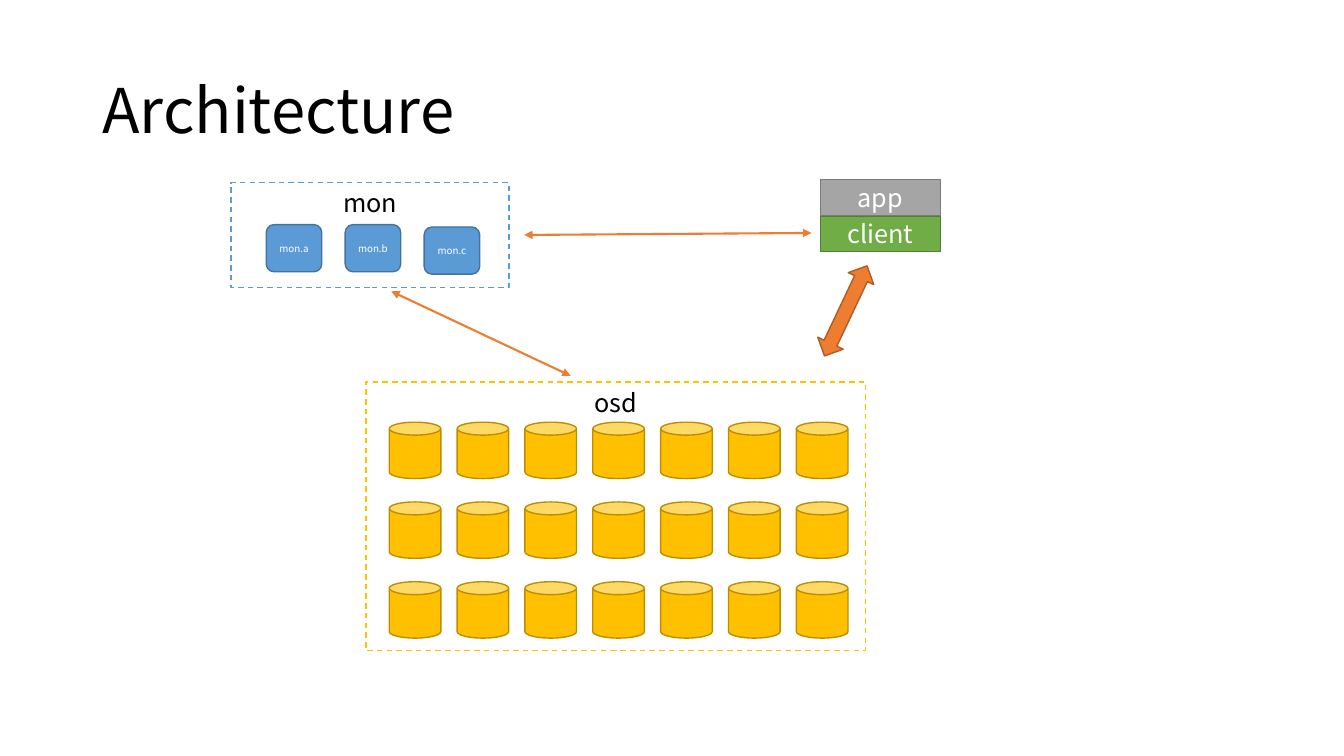
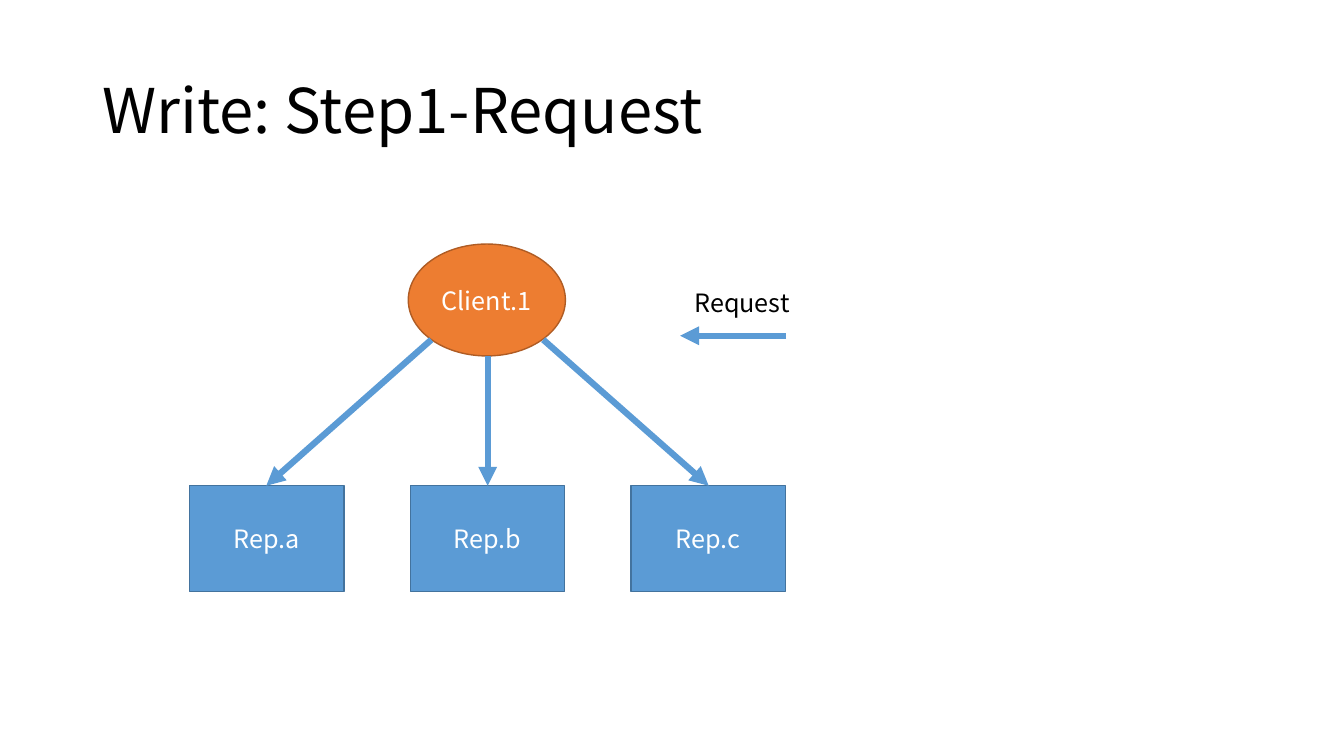
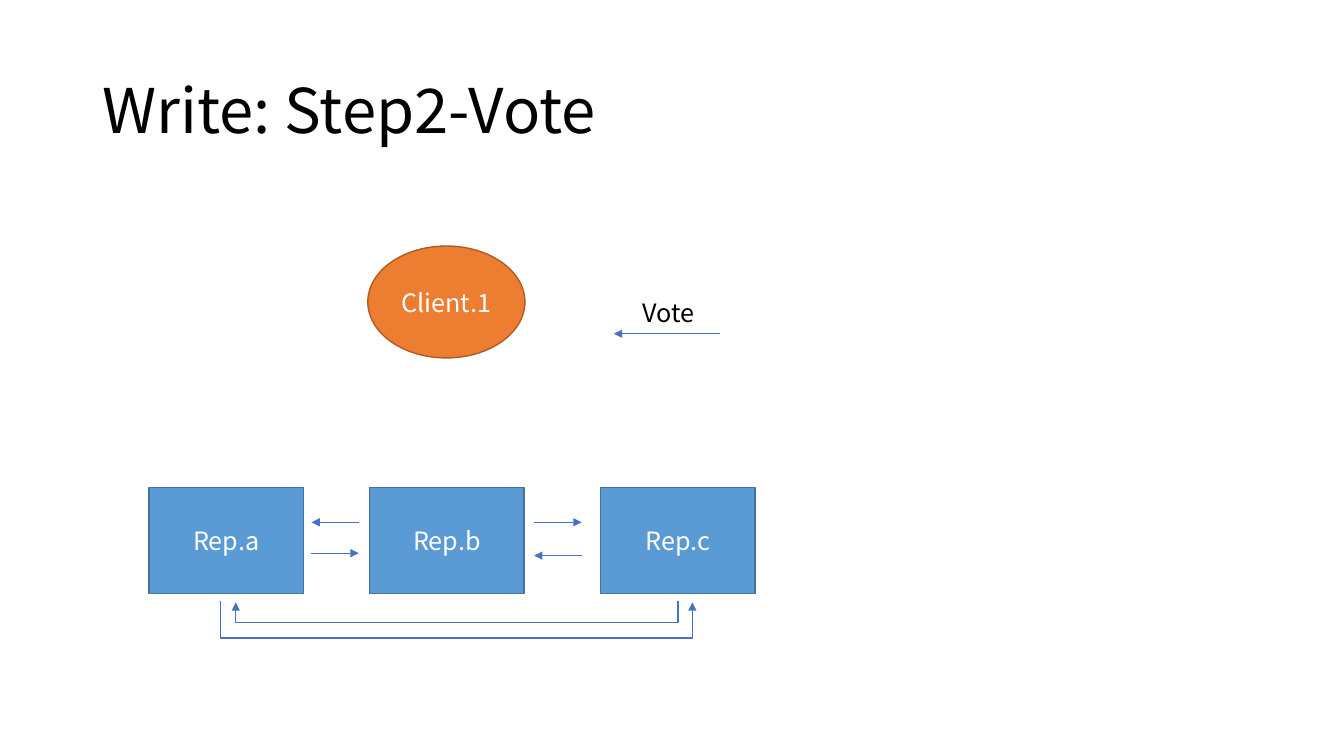
from dataclasses import dataclass

from pptx import Presentation
from pptx.dml.color import RGBColor
from pptx.enum.dml import MSO_LINE
from pptx.enum.shapes import MSO_CONNECTOR as Link, MSO_SHAPE as Preset
from pptx.enum.text import MSO_ANCHOR as Anchor, MSO_AUTO_SIZE as AutoSize, PP_ALIGN as Align
from pptx.oxml.ns import qn
from pptx.oxml.xmlchemy import OxmlElement
from pptx.util import Cm, Pt


@dataclass(frozen=True)
class Theme:
    font: str = "Noto Sans CJK SC"
    title_size: int = 44
    body_size: int = 18
    small_size: int = 7
    black: str = "000000"
    white: str = "FFFFFF"
    blue: str = "5B9BD5"
    blue_edge: str = "43739E"
    vote_blue: str = "4472C4"
    orange: str = "ED7D31"
    orange_edge: str = "AF5C24"
    gold: str = "FFC000"
    gold_edge: str = "BD8E00"
    green: str = "70AD47"
    green_edge: str = "538035"
    gray: str = "A5A5A5"
    gray_edge: str = "7A7A7A"


theme = Theme()


def add_shape(shapes, preset, box, fill, edge, text="", size=theme.body_size, color=theme.white):
    """Add a flat outlined shape; box is left, top, width, height in centimetres."""
    shape = shapes.add_shape(preset, *map(Cm, box))
    shape.shadow.inherit = False
    shape.fill.solid()
    shape.fill.fore_color.rgb = RGBColor.from_string(fill)
    shape.line.color.rgb = RGBColor.from_string(edge)
    shape.line.width = Pt(1)
    if text:
        paragraph = shape.text_frame.paragraphs[0]
        paragraph.alignment = Align.CENTER
        run = paragraph.add_run()
        run.text = text
        run.font.name = theme.font
        run.font.size = Pt(size)
        run.font.color.rgb = RGBColor.from_string(color)
    return shape


def add_arrow(slide, start, end, color, width, double=False, kind=Link.STRAIGHT):
    """Add a connector with a triangle at its end, or at both ends."""
    arrow = slide.shapes.add_connector(kind, *map(Cm, start + end))
    arrow.line.color.rgb = RGBColor.from_string(color)
    arrow.line.width = Pt(width)
    properties = arrow.element.spPr
    for tag in ("a:headEnd", "a:tailEnd") if double else ("a:tailEnd",):
        arrowhead = OxmlElement(tag)
        arrowhead.set("type", "triangle")
        properties.find(qn("a:ln")).append(arrowhead)
    properties.append(OxmlElement("a:effectLst"))
    return arrow


presentation = Presentation()
presentation.slide_width = Cm(33.87)
presentation.slide_height = Cm(19.05)

slides = []
for title_text in ("Architecture", "Write: Step1-Request", "Write: Step2-Vote"):
    slide = presentation.slides.add_slide(presentation.slide_layouts[5])
    title = slide.shapes.title
    title.left, title.top, title.width, title.height = map(Cm, (2.33, 1.01, 29.21, 3.68))
    title.text_frame.vertical_anchor = Anchor.MIDDLE
    title.text_frame.auto_size = AutoSize.NONE
    paragraph = title.text_frame.paragraphs[0]
    paragraph.alignment = Align.LEFT
    paragraph.line_spacing = 0.9
    run = paragraph.add_run()
    run.text = title_text
    run.font.name = theme.font
    run.font.size = Pt(theme.title_size)
    run.font.color.rgb = RGBColor.from_string(theme.black)
    slides.append(slide)
architecture, request, vote = slides

# Architecture: clusters
for name, box, edge in (
    ("osd", (9.22, 9.63, 12.6, 6.76), theme.gold),
    ("mon", (5.82, 4.6, 7.01, 2.64), theme.blue),
):
    cluster = add_shape(architecture.shapes, Preset.RECTANGLE, box, theme.white, edge, name, color=theme.black)
    cluster.line.dash_style = MSO_LINE.DASH
    cluster.text_frame.vertical_anchor = Anchor.TOP

for row in range(3):
    for column in range(7):
        disk_box = (9.81 + 1.71 * column, 10.64 + 2.01 * row, 1.3, 1.42)
        add_shape(architecture.shapes, Preset.CAN, disk_box, theme.gold, theme.gold_edge)

for index, (name, top) in enumerate((("mon.a", 5.66), ("mon.b", 5.66), ("mon.c", 5.72))):
    add_shape(architecture.shapes, Preset.FLOWCHART_ALTERNATE_PROCESS, (6.71 + 1.99 * index, top, 1.4, 1.19),
              theme.blue, theme.blue_edge, name, theme.small_size)

# Architecture: application stack and its links
stack = architecture.shapes.add_group_shape()
for name, top, fill, edge in (
    ("client", 5.44, theme.green, theme.green_edge),
    ("app", 4.53, theme.gray, theme.gray_edge),
):
    add_shape(stack.shapes, Preset.RECTANGLE, (20.68, top, 3.02, 0.9), fill, edge, name)

data_arrow = add_shape(architecture.shapes, Preset.UP_DOWN_ARROW, (20.96, 6.58, 0.71, 2.51),
                       theme.orange, theme.orange_edge)
data_arrow.rotation = 25.3
for start, end in (((9.86, 7.34), (14.38, 9.47)), ((13.21, 5.92), (20.45, 5.87))):
    add_arrow(architecture, start, end, theme.orange, 1.5, double=True)

# Write steps: client, replicas and legend
for slide, client_corner, replica_lefts, replica_top, label, label_box, align, legend_start, color, width in (
    (request, (10.29, 6.15), (4.78, 10.34, 15.9), 12.24,
     "Request", (17.25, 7.11, 3.45, 1.02), Align.LEFT, (19.81, 8.46), theme.blue, 4.5),
    (vote, (9.27, 6.2), (3.76, 9.32, 15.14), 12.29,
     "Vote", (15.57, 7.37, 2.57, 1.02), Align.CENTER, (18.14, 8.41), theme.vote_blue, 1),
):
    add_shape(slide.shapes, Preset.OVAL, client_corner + (3.96, 2.82),
              theme.orange, theme.orange_edge, "Client.1")
    for name, left in zip(("Rep.a", "Rep.b", "Rep.c"), replica_lefts):
        add_shape(slide.shapes, Preset.RECTANGLE, (left, replica_top, 3.89, 2.67),
                  theme.blue, theme.blue_edge, name)
    legend_left, legend_top = legend_start
    add_arrow(slide, legend_start, (legend_left - 2.67, legend_top), color, width)
    legend = slide.shapes.add_textbox(*map(Cm, label_box))
    legend.text_frame.word_wrap = True
    legend.text_frame.auto_size = AutoSize.SHAPE_TO_FIT_TEXT
    paragraph = legend.text_frame.paragraphs[0]
    paragraph.alignment = align
    run = paragraph.add_run()
    run.text = label
    run.font.name = theme.font
    run.font.size = Pt(theme.body_size)
    run.font.color.rgb = RGBColor.from_string(theme.black)

# Step 1: the client asks every replica
for start, end in (
    ((10.87, 8.56), (6.71, 12.24)),
    ((12.29, 8.97), (12.29, 12.24)),
    ((13.69, 8.56), (17.86, 12.24)),
):
    add_arrow(request, start, end, theme.blue, 4.5)

# Step 2: neighbours exchange votes
for start_x, end_x, y in ((9.04, 7.85, 13.16), (14.66, 13.46, 14), (7.85, 9.04, 13.94), (13.46, 14.66, 13.16)):
    add_arrow(vote, (start_x, y), (end_x, y), theme.vote_blue, 1)

# Step 2: the outer replicas vote along elbows, which are drawn upright and then turned
elbow_rise, elbow_y = 0.04, 15.16
for start_x, end_x, drop in ((5.56, 17.45, 0.94), (17.09, 5.94, 0.55)):
    middle, span = (start_x + end_x) / 2, abs(end_x - start_x)
    elbow = add_arrow(vote, (middle - elbow_rise / 2, elbow_y - span / 2),
                      (middle + elbow_rise / 2, elbow_y + span / 2), theme.vote_blue, 1, kind=Link.ELBOW)
    rightward = end_x > start_x
    elbow.rotation = 270 if rightward else 90
    properties = elbow.element.spPr
    transform = properties.find(qn("a:xfrm"))
    transform.set("rot", str((270 if rightward else 90) * 60000))
    if rightward:
        transform.set("flipH", "1")
    bend = OxmlElement("a:gd")
    bend.set("name", "adj1")
    bend.set("fmla", f"val {round(drop / elbow_rise * 100000)}")
    properties.find(qn("a:prstGeom")).find(qn("a:avLst")).append(bend)

presentation.save("out.pptx")
